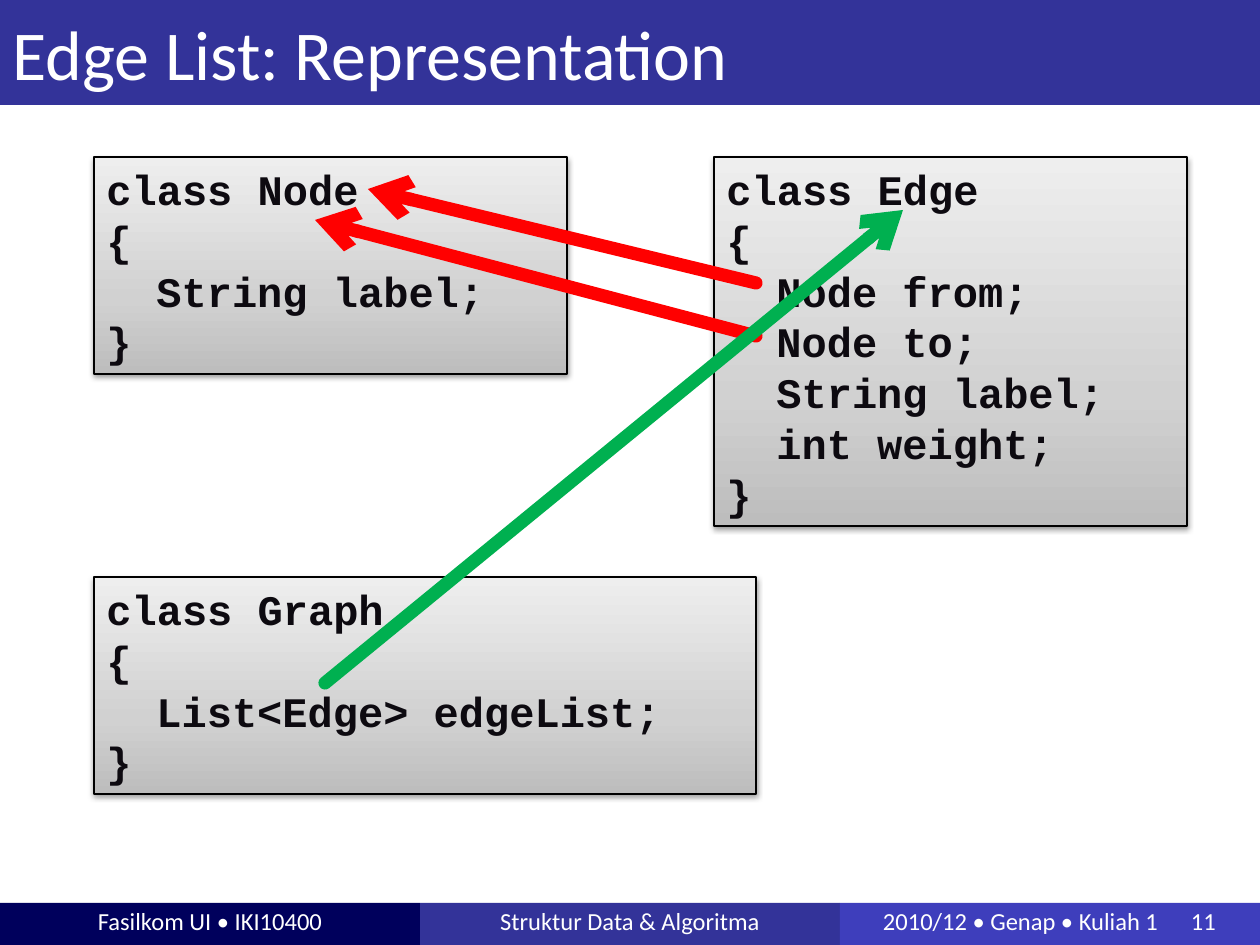
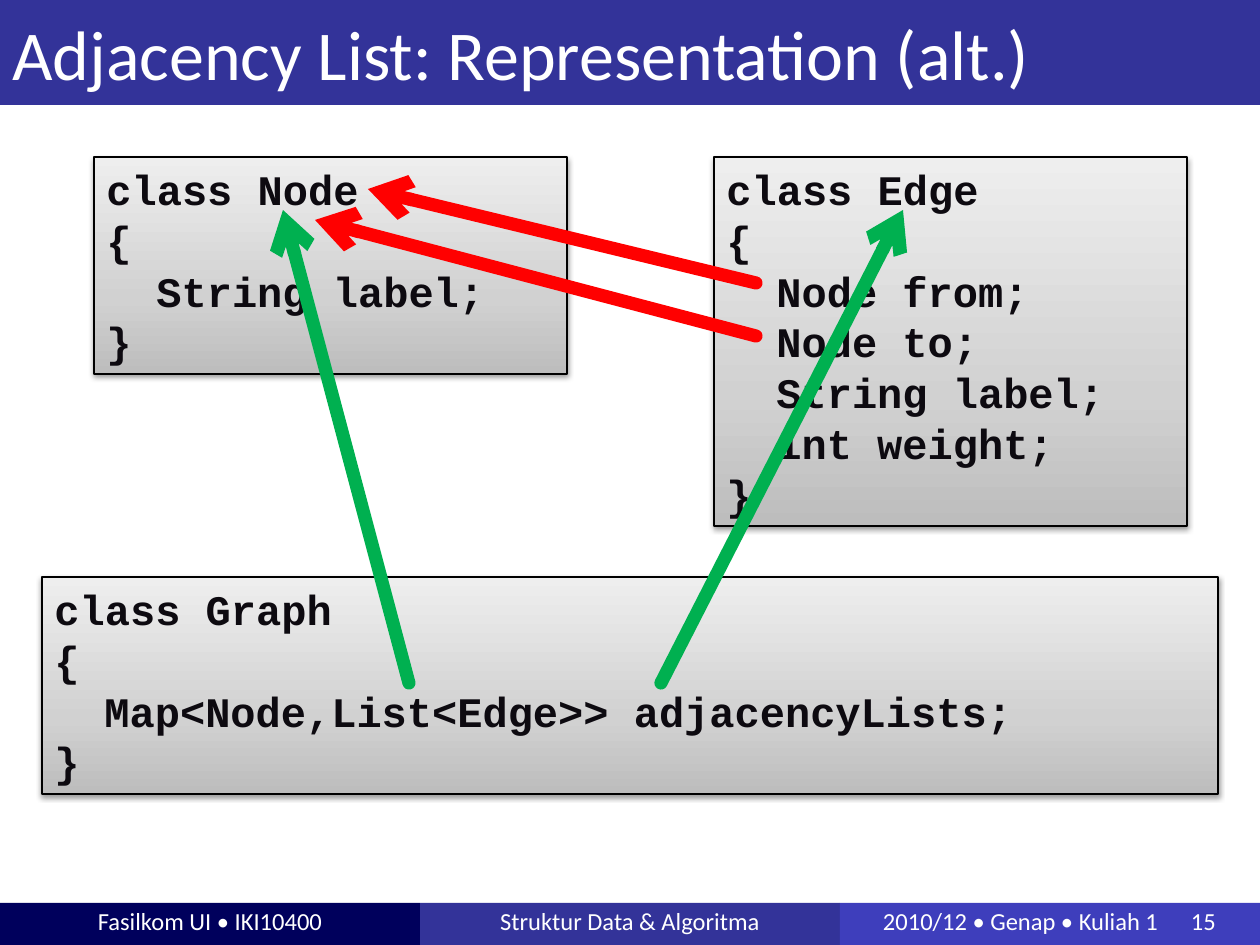
"""Build two slides on how graph classes refer to each other."""
from lxml import etree
from pptx import Presentation
from pptx.dml.color import RGBColor
from pptx.enum.shapes import MSO_CONNECTOR, MSO_SHAPE
from pptx.enum.text import MSO_ANCHOR, PP_ALIGN
from pptx.oxml import parse_xml
from pptx.oxml.ns import qn
from pptx.util import Pt

RECT = MSO_SHAPE.RECTANGLE
STRAIGHT = MSO_CONNECTOR.STRAIGHT
TOP, MIDDLE = MSO_ANCHOR.TOP, MSO_ANCHOR.MIDDLE
LEFT, CENTER = PP_ALIGN.LEFT, PP_ALIGN.CENTER
rgb = RGBColor.from_string

SCALE = 914400 / 126
W, H = 1260, 945
NAVY, INDIGO, VIOLET = "00005C", "333399", "3E3EBC"
WHITE, BLACK, INK = "FFFFFF", "000000", "0D0A10"
RED, GREEN = "FF0000", "00B050"
BODY, CODE = "Calibri", "Courier New"
FOOTER_Y, FOOTER_W = 903, 420
DATE_INSET, NUMBER_TAB = 43, 308
CODE_INDENT = 50

NS = 'xmlns:a="http://schemas.openxmlformats.org/drawingml/2006/main"'
STOPS = "".join(
    f'<a:gs pos="{pos}000"><a:srgbClr val="{color}"/></a:gs>'
    for pos, color in ((0, "BDBDBD"), (35, "D1D1D1"), (100, "EEEEEE")))
GRADIENT = (f'<a:gradFill {NS} rotWithShape="1"><a:gsLst>{STOPS}</a:gsLst>'
            '<a:lin ang="16200000" scaled="0"/></a:gradFill>')
SHADOW = (f'<a:effectLst {NS}><a:outerShdw blurRad="40000" dist="20000" '
          'dir="5400000" rotWithShape="0"><a:srgbClr val="000000">'
          '<a:alpha val="38000"/></a:srgbClr></a:outerShdw></a:effectLst>')

NODE = (94, 157, 473, 217, ["class Node", "{", "  String label;", "}"])
EDGE = (714, 157, 473, 369, ["class Edge", "{", "  Node from;", "  Node to;",
                             "  String label;", "  int weight;", "}"])
NODE_ARROWS = [(RED, 756, 283, 368, 189), (RED, 756, 336, 315, 220)]
SLIDES = [
    ("Edge List: Representation", 11,
     (94, 577, 662, 217,
      ["class Graph", "{", "  List<Edge> edgeList;", "}"]),
     [(GREEN, 325, 683, 903, 210)]),
    ("Adjacency List: Representation (alt.)", 15,
     (42, 577, 1176, 217,
      ["class Graph", "{", "  Map<Node,List<Edge>> adjacencyLists;", "}"]),
     [(GREEN, 661, 683, 903, 210), (GREEN, 409, 683, 283, 210)]),
]


def px(n):
    return round(n * SCALE)


def add_box(s, x, y, w, h, lines, font, size, color, fill=None,
            anchor=MIDDLE, align=LEFT):
    sp = s.shapes.add_shape(RECT, px(x), px(y), px(w), px(h))
    if fill:
        sp.shadow.inherit = False
        sp.fill.solid()
        sp.fill.fore_color.rgb = rgb(fill)
        sp.line.fill.background()
    tf = sp.text_frame
    tf.word_wrap = True
    tf.vertical_anchor = anchor
    tf.text = "\n".join(line.lstrip() for line in lines)
    for p, line in zip(tf.paragraphs, lines):
        p.alignment = align
        if line.startswith(" "):
            p._p.get_or_add_pPr().set("marL", str(px(CODE_INDENT)))
        for r in p.runs:
            r.font.name = font
            r.font.size = Pt(size)
            r.font.color.rgb = rgb(color)
    return sp


prs = Presentation()
prs.slide_width, prs.slide_height = px(W), px(H)

for title, number, graph, graph_arrows in SLIDES:
    s = prs.slides.add_slide(prs.slide_layouts[6])

    footers = [("Fasilkom UI • IKI10400", NAVY, CENTER),
               ("Struktur Data & Algoritma", INDIGO, CENTER),
               (f"2010/12 • Genap • Kuliah 1\t{number}", VIOLET, LEFT)]
    for i, (text, fill, align) in enumerate(footers):
        sp = add_box(s, i * FOOTER_W, FOOTER_Y, FOOTER_W, H - FOOTER_Y, [text],
                     BODY, 14, WHITE, fill, align=align)
        tf = sp.text_frame
        tf.margin_top, tf.margin_bottom = 0, px(6)
    tf.margin_left = px(DATE_INSET)
    tabs = etree.SubElement(tf.paragraphs[0]._p.get_or_add_pPr(), qn("a:tabLst"))
    etree.SubElement(tabs, qn("a:tab"), pos=str(px(NUMBER_TAB)), algn="l")

    add_box(s, 0, 0, W, 105, [title], BODY, 40, WHITE, INDIGO)

    for x, y, w, h, code in (EDGE, NODE, graph):
        sp = add_box(s, x, y, w, h, code, CODE, 24, INK, anchor=TOP)
        sp.line.color.rgb = rgb(BLACK)
        sp.line.width = Pt(0.75)
        spPr = sp._element.spPr
        spPr.insert(2, parse_xml(GRADIENT))
        spPr.append(parse_xml(SHADOW))
        for p in sp.text_frame.paragraphs:
            p.line_spacing = Pt(29)
            p.runs[0].font.bold = True

    for color, x1, y1, x2, y2 in NODE_ARROWS + graph_arrows:
        c = s.shapes.add_connector(STRAIGHT, px(x1), px(y1), px(x2), px(y2))
        c.line.color.rgb = rgb(color)
        c.line.width = Pt(7.5)
        ln = c.line._get_or_add_ln()
        ln.set("cap", "rnd")
        etree.SubElement(ln, qn("a:round"))
        etree.SubElement(ln, qn("a:tailEnd"), type="arrow")
        etree.SubElement(c._element.spPr, qn("a:effectLst"))

prs.save("out.pptx")
